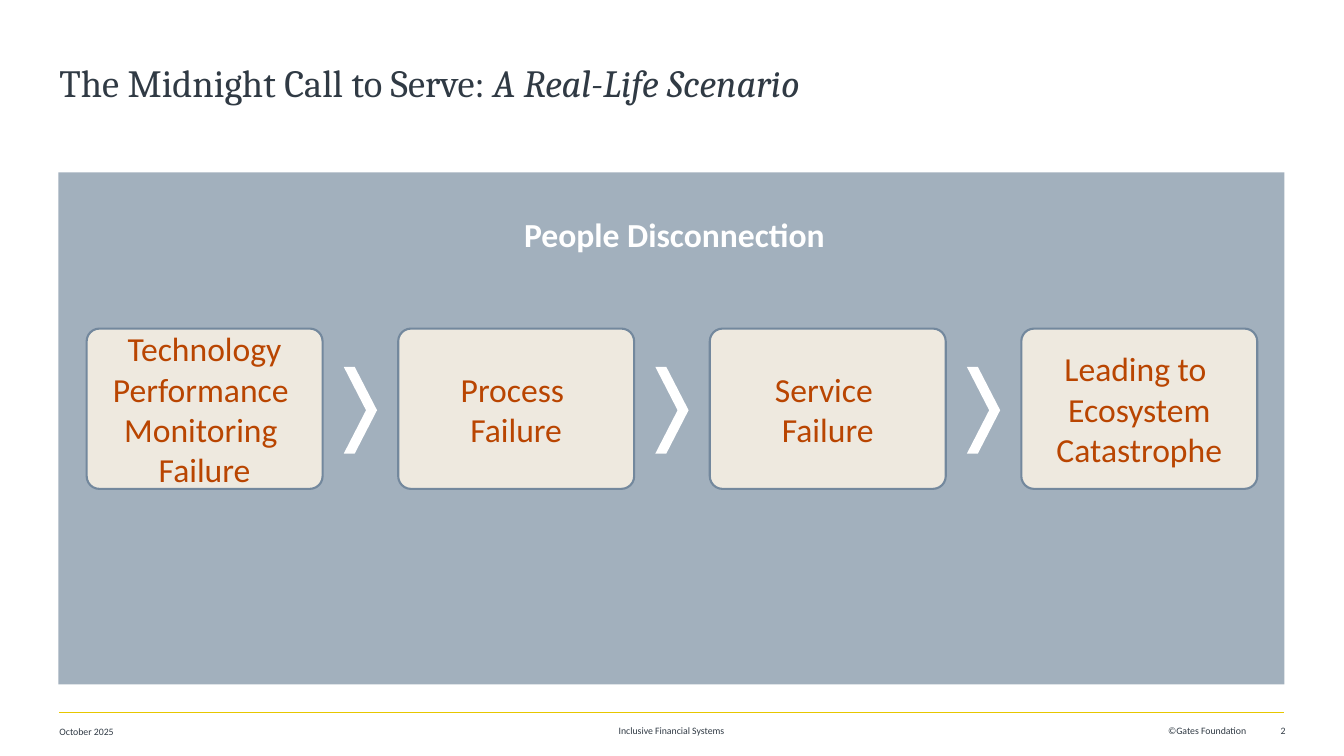
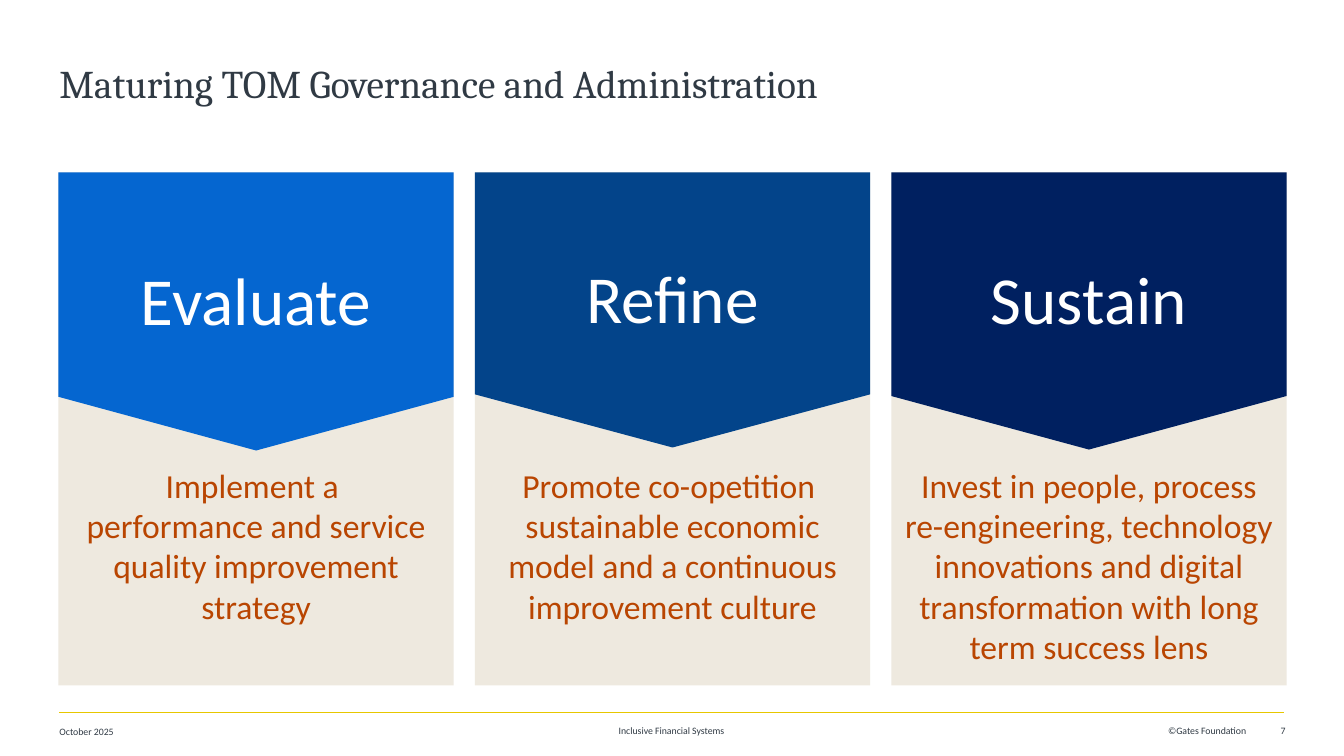
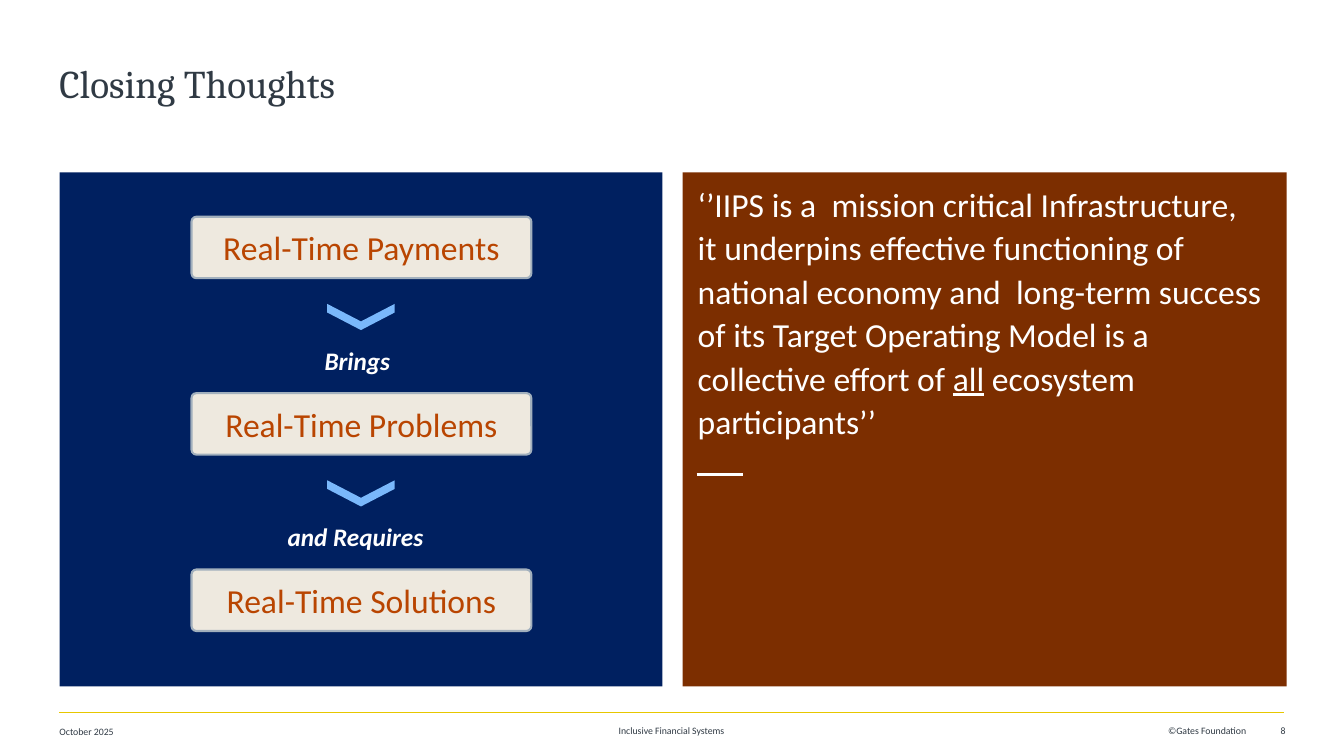
from dataclasses import dataclass

import lxml.etree
import pptx
import pptx.dml.color
import pptx.enum.shapes
import pptx.enum.text
import pptx.oxml.ns
import pptx.util

Inches = pptx.util.Inches
SHAPE = pptx.enum.shapes.MSO_SHAPE
ALIGN = pptx.enum.text.PP_ALIGN
ANCHOR = pptx.enum.text.MSO_ANCHOR

COLORS = {
    "ink": "303A44", "white": "FFFFFF", "gold": "E7C700", "cream": "EEE9DF",
    "rust": "B94501", "brown": "7C2E00", "mist": "A2B0BD", "slate": "73889D",
    "sky": "7AB8FB", "blue": "0566D0", "mid_blue": "03448A", "navy": "002060",
}
BODY_FONT, TITLE_FONT = "Calibri", "Cambria"
LEFT, TOP, WIDTH = 0.59, 1.71, 12.16
NO_INSETS = (0, 0, 0, 0)
INSETS = (0.1, 0.05, 0.1, 0.05)


@dataclass(frozen=True)
class Area:
    left: float
    top: float
    width: float
    height: float

    def lengths(self):
        return [Inches(n) for n in (self.left, self.top, self.width, self.height)]


@dataclass(frozen=True)
class Span:
    text: str
    italic: bool = False
    underline: bool = False


@dataclass(frozen=True)
class Card:
    heading: str
    detail: str
    color: str
    arrow_length: float


@dataclass(frozen=True)
class FooterItem:
    text: str
    area: Area
    align: ALIGN


FOOTER = (
    FooterItem("October 2025", Area(LEFT, 7.2, 3, 0.12), ALIGN.LEFT),
    FooterItem("Inclusive Financial Systems", Area(4.41, 7.19, 4.5, 0.12), ALIGN.CENTER),
    FooterItem("©Gates Foundation", Area(10.86, 7.19, 1.5, 0.12), ALIGN.RIGHT),
)
FAILURES = (
    "Technology Performance \nMonitoring \nFailure",
    "Process \nFailure",
    "Service \nFailure",
    "Leading to \nEcosystem Catastrophe",
)
CARDS = (
    Card("Evaluate", "Implement a \nperformance and service quality improvement strategy",
         "blue", 2.76),
    Card("Refine", "Promote co-opetition \nsustainable economic model and a continuous "
         "improvement culture", "mid_blue", 2.73),
    Card("Sustain", "Invest in people, process re-engineering, technology innovations and "
         "digital transformation with long term success lens", "navy", 2.75),
)
STAGES = ("Real-Time Payments", "Real-Time Problems", "Real-Time Solutions")
# Link caption, left edge and width
LINKS = (("Brings", 2.88, 1.33), ("and Requires", 2.53, 1.99))
QUOTE = (
    Span("‘’IIPS is a  mission critical Infrastructure, \nit underpins effective functioning "
         "of national economy and  long-term success of its Target Operating Model is a  "
         "collective effort of "),
    Span("all", underline=True),
    Span(" ecosystem participants’’"),
)


# Drawing helpers
def rgb(name: str):
    return pptx.dml.color.RGBColor.from_string(COLORS[name])


def write_text(shape, *spans, size=24, color="rust", font=BODY_FONT, bold=False,
               italic=False, align=ALIGN.CENTER, anchor=ANCHOR.MIDDLE,
               insets=INSETS, spacing=1.0):
    """Fill a shape with one paragraph of plain strings or spans."""
    frame = shape.text_frame
    frame.word_wrap = True
    frame.vertical_anchor = anchor
    (frame.margin_left, frame.margin_top,
     frame.margin_right, frame.margin_bottom) = map(Inches, insets)
    para = frame.paragraphs[0]
    para.alignment = align
    para.line_spacing = spacing
    for item in spans:
        span = item if isinstance(item, Span) else Span(item)
        for index, line in enumerate(span.text.split("\n")):
            if index:
                para.add_line_break()
            run = para.add_run()
            run.text = line
            run.font.name = font
            run.font.size = pptx.util.Pt(size)
            run.font.bold = bold
            run.font.italic = italic or span.italic
            run.font.underline = span.underline
            run.font.color.rgb = rgb(color)


def add_label(page, area: Area, *spans, **text_format):
    write_text(page.shapes.add_textbox(*area.lengths()), *spans, **text_format)


def add_block(page, kind, area: Area, fill: str, line=None, adjust=None, rotation=0):
    block = page.shapes.add_shape(kind, *area.lengths())
    block.shadow.inherit = False
    block.fill.solid()
    block.fill.fore_color.rgb = rgb(fill)
    if line:
        block.line.color.rgb = rgb(line)
        block.line.width = pptx.util.Pt(1.5)
    else:
        block.line.fill.background()
    if adjust is not None:
        block.adjustments[0] = adjust
    block.rotation = rotation
    return block


def add_step(page, area: Area, text: str, line: str):
    box = add_block(page, SHAPE.ROUNDED_RECTANGLE, area, "cream", line, 0.079)
    write_text(box, text)


def add_rule(page, left, right, top, color, weight):
    rule = page.shapes.add_connector(
        pptx.enum.shapes.MSO_CONNECTOR.STRAIGHT,
        Inches(left), Inches(top), Inches(right), Inches(top))
    rule.line.color.rgb = rgb(color)
    rule.line.width = pptx.util.Pt(weight)
    lxml.etree.SubElement(rule._element.spPr, pptx.oxml.ns.qn("a:effectLst"))


def add_page(deck, number: int, *title, title_size=28):
    """Add a slide with the shared title, rule and footer."""
    page = deck.slides.add_slide(deck.slide_layouts[6])
    add_label(page, Area(LEFT, 0.59, WIDTH, 0.4), *title, size=title_size, color="ink",
              font=TITLE_FONT, align=ALIGN.LEFT, anchor=ANCHOR.TOP, insets=NO_INSETS)
    add_rule(page, LEFT, 12.74, 7.07, "gold", 0.75)
    page_number = FooterItem(str(number), Area(12.47, 7.19, 0.28, 0.12), ALIGN.RIGHT)
    for item in (*FOOTER, page_number):
        add_label(page, item.area, item.text, size=7, color="ink",
                  align=item.align, insets=NO_INSETS)
    return page


# Slides
def build_scenario(deck):
    page = add_page(deck, 2, "The Midnight Call to Serve: ",
                    Span("A Real-Life Scenario", italic=True), title_size=27.5)
    add_block(page, SHAPE.RECTANGLE, Area(0.58, TOP, WIDTH, 5.08), "mist")
    add_label(page, Area(4.46, 2.15, 4.46, 0.49), "People Disconnection", color="white",
              bold=True, anchor=ANCHOR.TOP, insets=(0.05, 0.02, 0.05, 0.02), spacing=0.9)
    for index, failure in enumerate(FAILURES):
        left = 0.86 + 3.09 * index
        add_step(page, Area(left, 3.26, 2.34, 1.59), failure, "slate")
        if index < len(FAILURES) - 1:
            add_block(page, SHAPE.CHEVRON, Area(left + 2.55, 3.64, 0.33, 0.86),
                      "white", adjust=0.67)


def build_governance(deck):
    page = add_page(deck, 7, "Maturing TOM Governance and Administration")
    width = 3.92
    for index, card in enumerate(CARDS):
        left = 0.58 + 4.13 * index
        panel = add_block(page, SHAPE.RECTANGLE, Area(left, TOP, width, 5.09), "cream")
        write_text(panel, card.detail, anchor=ANCHOR.TOP, insets=(0.1, 2.9, 0.1, 0.05))
        # The pentagon is turned to point down, so its frame is centred on the card
        length = card.arrow_length
        inset = (width - length) / 2
        add_block(page, SHAPE.PENTAGON, Area(left + inset, TOP - inset, length, width),
                  card.color, adjust=0.193, rotation=90)
        add_label(page, Area(left, TOP, width, length - 0.26), card.heading,
                  size=48, color="white")


def build_closing(deck):
    page = add_page(deck, 8, "Closing Thoughts")
    add_block(page, SHAPE.RECTANGLE, Area(LEFT, TOP, 5.98, 5.1), "navy")
    # Stages joined by captioned chevrons
    first_top, pitch = 2.15, 1.75
    for index, stage in enumerate(STAGES):
        add_step(page, Area(1.9, first_top + pitch * index, 3.37, 0.61), stage, "mist")
    for index, (caption, left, width) in enumerate(LINKS):
        top = first_top + pitch * index
        add_block(page, SHAPE.CHEVRON, Area(3.45, top + 0.66, 0.26, 0.67), "sky",
                  adjust=0.67, rotation=90)
        add_label(page, Area(left, top + 1.24, width, 0.4), caption, size=18,
                  color="white", bold=True, italic=True,
                  insets=(0.05, 0.02, 0.05, 0.02), spacing=0.9)
    # Quotation
    panel = add_block(page, SHAPE.RECTANGLE, Area(6.77, TOP, 5.99, 5.1), "brown")
    write_text(panel, *QUOTE, color="white", align=ALIGN.LEFT, anchor=ANCHOR.TOP,
               insets=(0.15, 0.08, 0.1, 0.05), spacing=1.08)
    add_rule(page, 6.91, 7.37, 4.71, "white", 2.25)


def main():
    deck = pptx.Presentation()
    deck.slide_width, deck.slide_height = Inches(13.33), Inches(7.5)
    build_scenario(deck)
    build_governance(deck)
    build_closing(deck)
    deck.save("out.pptx")


if __name__ == "__main__":
    main()
